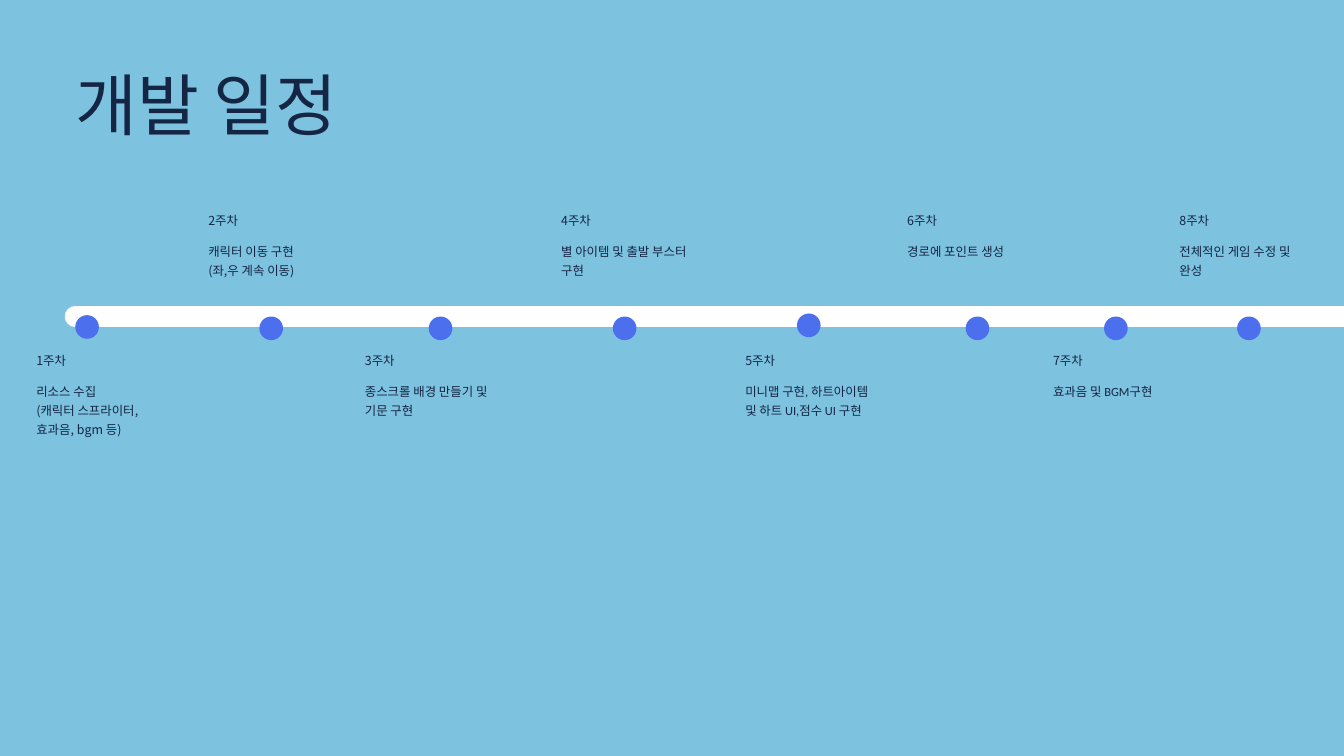
from dataclasses import dataclass

import pptx
import pptx.dml.color
import pptx.enum.shapes
import pptx.enum.text
import pptx.oxml
import pptx.oxml.ns
import pptx.util

SKY = pptx.dml.color.RGBColor(0x7D, 0xC2, 0xDF)
NAVY = pptx.dml.color.RGBColor(0x15, 0x25, 0x44)
BLUE = pptx.dml.color.RGBColor(0x4B, 0x6F, 0xED)
WHITE = pptx.dml.color.RGBColor(0xFF, 0xFF, 0xFF)

LATIN_FONT = "Calibri"
KOREAN_FONT = "Noto Sans CJK KR"

SLIDE_WIDTH = pptx.util.Inches(20)
SLIDE_HEIGHT = pptx.util.Inches(11.25)

# Horizontal lengths are percent of the slide width, vertical ones of its height.
BAR_TOP = 41.87
BAR_LEFT, BAR_RIGHT = 5.6, 110.05
DOT_SIZE = 1.76
TEXT_WIDTH = 9.4
LABEL_HEIGHT, LINE_HEIGHT = 2.04, 2.43
LABEL_TOP_ABOVE, LABEL_TOP_BELOW = 28, 46.58
LABEL_TO_BODY = 3.78


@dataclass(frozen=True)
class TextStyle:
    size: float
    line_spacing: float
    fonts: tuple[str, ...]  # one per paragraph, the last one repeating


TITLE = TextStyle(72, 86.4, (LATIN_FONT,))
LABEL = TextStyle(13.3, 17.3, (KOREAN_FONT,))
BODY = TextStyle(13.3, 20, (LATIN_FONT, KOREAN_FONT))


@dataclass(frozen=True)
class Week:
    text_left: float
    dot_left: float
    line_count: int
    paragraphs: tuple[str, ...]
    dot_top: float = BAR_TOP


WEEKS = (
    Week(2.7, 5.6, 3, ("리소스 수집", "(캐릭터 스프라이터, 효과음, bgm 등)"), 41.69),
    Week(15.5, 19.3, 2, ("캐릭터 이동 구현", "(좌,우 계속 이동)")),
    Week(27.15, 31.9, 2, ("종스크롤 배경 만들기 및 기문 구현",)),
    Week(41.75, 45.6, 2, ("별 아이템 및 출발 부스터 구현",)),
    Week(55.45, 59.3, 3, ("미니맵 구현, 하트아이템 및 하트 UI,점수 UI 구현",), 41.47),
    Week(67.5, 71.85, 1, ("경로에 포인트 생성",)),
    Week(78.35, 82.15, 1, ("효과음 및 BGM구현",)),
    Week(87.75, 92.05, 2, ("전체적인 게임 수정 및 완성",)),
)


def across(percent: float) -> int:
    return round(SLIDE_WIDTH * percent / 100)


def down(percent: float) -> int:
    return round(SLIDE_HEIGHT * percent / 100)


def add_text(slide: pptx.slide.Slide, left: float, top: float, width: float,
             height: float, paragraphs: tuple[str, ...], style: TextStyle) -> None:
    text_box = slide.shapes.add_textbox(
        across(left), down(top), across(width), down(height))
    frame = text_box.text_frame
    frame_format = {
        "margin_left": 0, "margin_top": 0, "margin_right": 0, "margin_bottom": 0,
        "word_wrap": True,
        "auto_size": pptx.enum.text.MSO_AUTO_SIZE.SHAPE_TO_FIT_TEXT,
    }
    for name, value in frame_format.items():
        setattr(frame, name, value)
    for index, text in enumerate(paragraphs):
        paragraph = frame.add_paragraph() if index else frame.paragraphs[0]
        paragraph.line_spacing = pptx.util.Pt(style.line_spacing)
        run = paragraph.add_run()
        run.text = text
        run.font.color.rgb = NAVY
        font_format = {
            "name": style.fonts[min(index, len(style.fonts) - 1)],
            "size": pptx.util.Pt(style.size),
        }
        for name, value in font_format.items():
            setattr(run.font, name, value)
        east_asian = pptx.oxml.parse_xml(
            f'<a:ea {pptx.oxml.ns.nsdecls("a")} typeface="{KOREAN_FONT}"/>')
        run._r.get_or_add_rPr().append(east_asian)


def add_bar(slide: pptx.slide.Slide) -> None:
    """Draw the thick timeline with round ends, running past the right edge."""
    bar = slide.shapes.add_connector(
        pptx.enum.shapes.MSO_CONNECTOR.STRAIGHT,
        across(BAR_LEFT), down(BAR_TOP), across(BAR_RIGHT), down(BAR_TOP))
    bar.line.color.rgb = WHITE
    bar.line.width = pptx.util.Pt(22.5)
    properties = bar._element.spPr
    properties.find(pptx.oxml.ns.qn("a:ln")).set("cap", "rnd")
    properties.append(pptx.oxml.parse_xml(
        f'<a:effectLst {pptx.oxml.ns.nsdecls("a")}/>'))


def add_dot(slide: pptx.slide.Slide, week: Week) -> None:
    dot = slide.shapes.add_shape(
        pptx.enum.shapes.MSO_SHAPE.OVAL, across(week.dot_left),
        down(week.dot_top), across(DOT_SIZE), across(DOT_SIZE))
    dot.shadow.inherit = False
    dot.fill.solid()
    dot.fill.fore_color.rgb = BLUE
    dot.line.fill.background()


def add_week(slide: pptx.slide.Slide, number: int, week: Week) -> None:
    """Place odd weeks below the timeline and even weeks above it."""
    add_dot(slide, week)
    top = LABEL_TOP_BELOW if number % 2 else LABEL_TOP_ABOVE
    add_text(slide, week.text_left, top, TEXT_WIDTH, LABEL_HEIGHT,
             (f"{number}주차",), LABEL)
    add_text(slide, week.text_left, top + LABEL_TO_BODY, TEXT_WIDTH,
             LINE_HEIGHT * week.line_count, week.paragraphs, BODY)


def main() -> None:
    presentation = pptx.Presentation()
    presentation.slide_width = SLIDE_WIDTH
    presentation.slide_height = SLIDE_HEIGHT
    slide = presentation.slides.add_slide(presentation.slide_layouts[6])
    slide.background.fill.solid()
    slide.background.fill.fore_color.rgb = SKY

    add_text(slide, 5.6, 8.36, 71.3, 12.36, ("개발 일정",), TITLE)
    add_bar(slide)
    for number, week in enumerate(WEEKS, start=1):
        add_week(slide, number, week)
    presentation.save("out.pptx")


if __name__ == "__main__":
    main()
